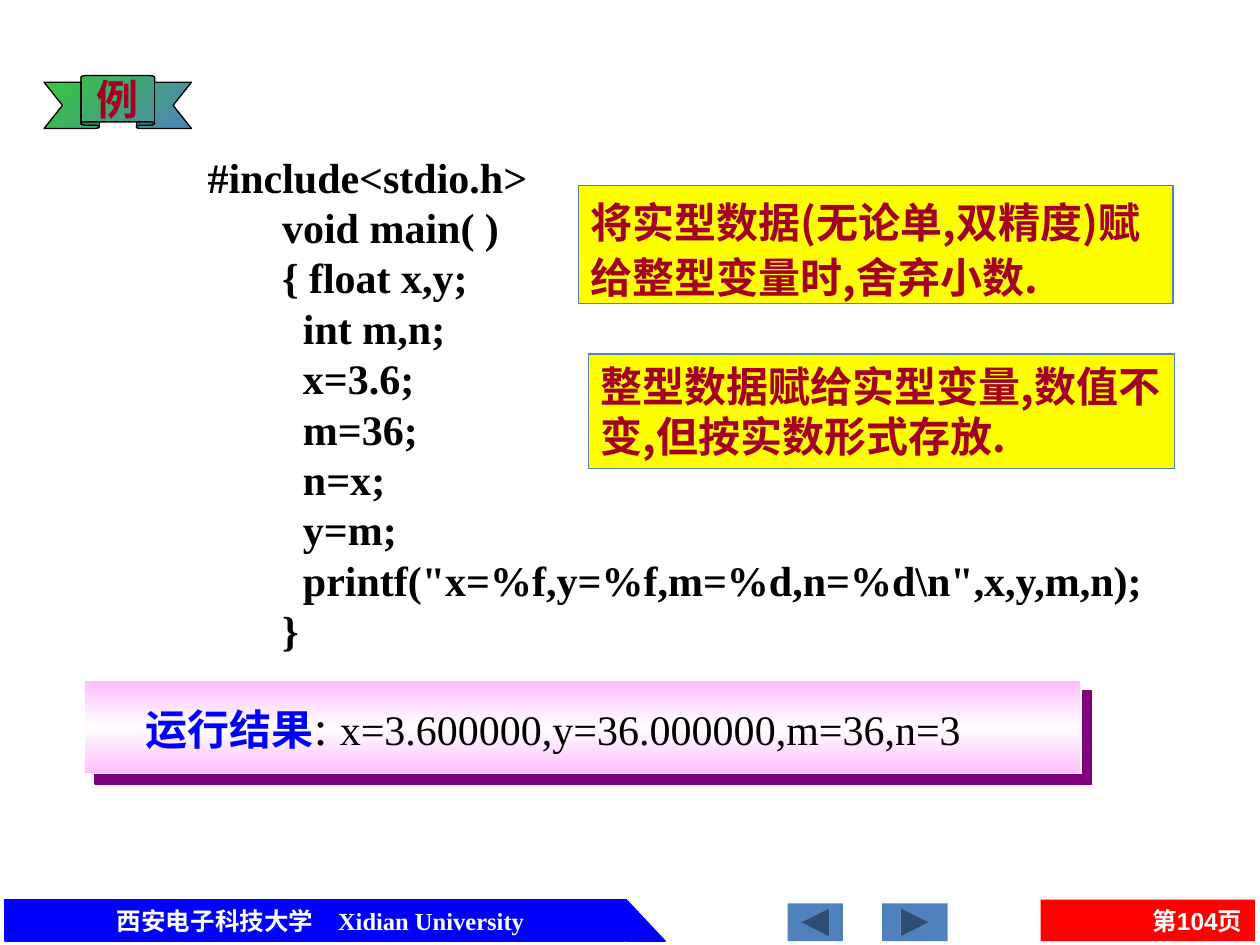
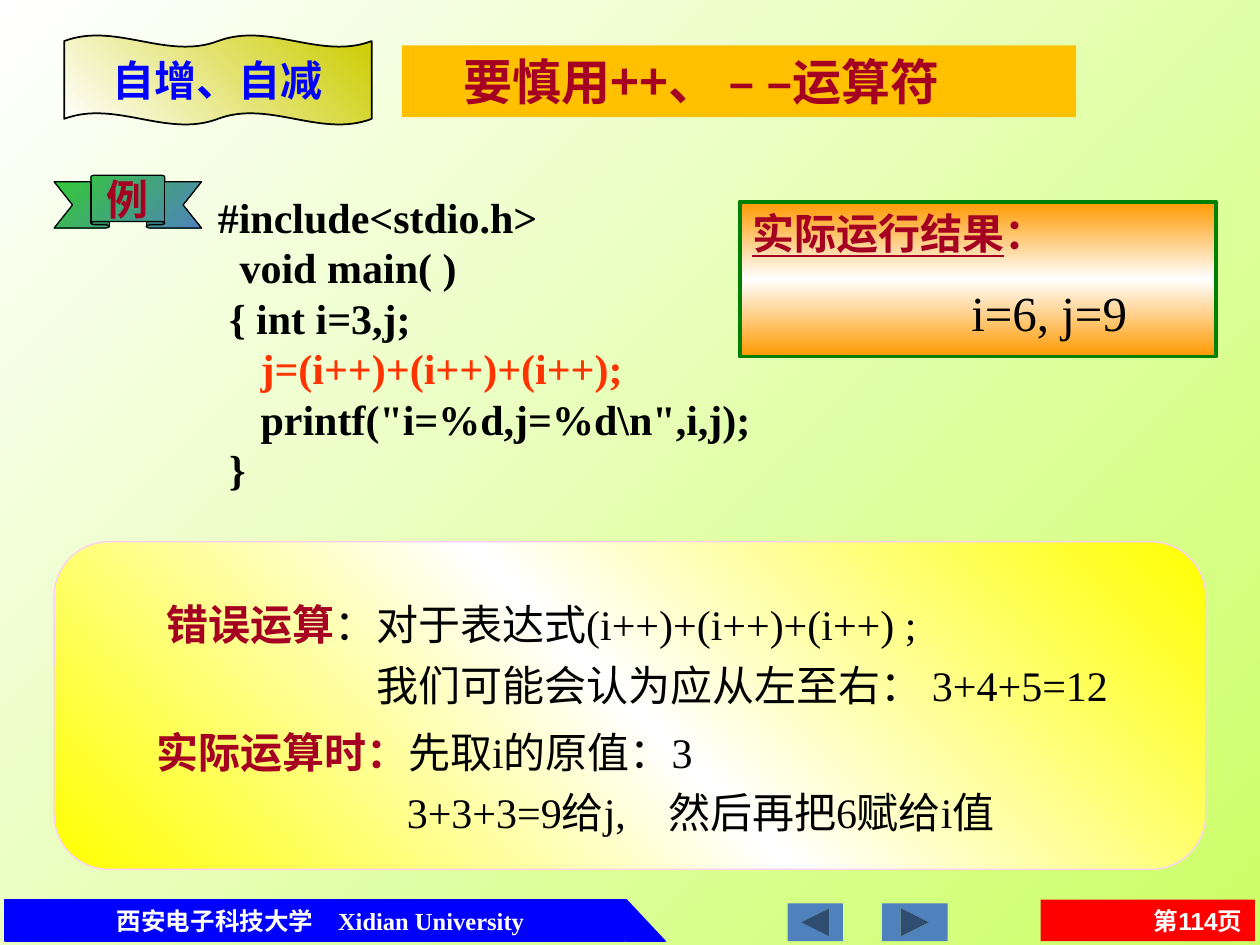
import copy
from dataclasses import dataclass
from typing import Optional, Sequence

import pptx
import pptx.dml.color
import pptx.enum.shapes
import pptx.enum.text
import pptx.oxml
import pptx.oxml.ns
import pptx.util

Inches = pptx.util.Inches
Pt = pptx.util.Pt
RGBColor = pptx.dml.color.RGBColor
Shapes = pptx.enum.shapes.MSO_SHAPE
Align = pptx.enum.text.PP_ALIGN
Anchor = pptx.enum.text.MSO_ANCHOR
qn = pptx.oxml.ns.qn

# Colours
BLACK = RGBColor(0x00, 0x00, 0x00)
WHITE = RGBColor(0xFF, 0xFF, 0xFF)
BLUE = RGBColor(0x00, 0x00, 0xFF)
RED = RGBColor(0xFF, 0x00, 0x00)
STEEL = RGBColor(0x4F, 0x81, 0xBD)
CRIMSON = RGBColor(0xA5, 0x00, 0x21)
YELLOW = RGBColor(0xFF, 0xFF, 0x00)
AMBER = RGBColor(0xFF, 0xC0, 0x00)
ORANGE = RGBColor(0xFF, 0x99, 0x00)
VERMILION = RGBColor(0xFF, 0x33, 0x00)
PINK = RGBColor(0xFF, 0xBD, 0xFF)
PALE_PINK = RGBColor(0xFF, 0xCC, 0xFF)
GREEN = RGBColor(0x33, 0xCC, 0x33)
DARK_GREEN = RGBColor(0x00, 0x80, 0x00)
LIME = RGBColor(0xCC, 0xFF, 0x66)
OLIVE = RGBColor(0xCC, 0xCC, 0x00)

# Fonts
SERIF = "Times New Roman"
SANS = "Arial"
BADGE_FONT = "Roboto"
CHINESE = "Noto Sans CJK SC"

LINE_HEIGHT = 1.2
FIRST_CODE_INDENT = 0.41


@dataclass(frozen=True)
class Place:
    left: float
    top: float
    width: float
    height: float

    def lengths(self) -> list:
        return [Inches(v) for v in (self.left, self.top, self.width, self.height)]


@dataclass(frozen=True)
class Span:
    text: str
    color: RGBColor = BLACK
    bold: bool = False
    size: float = 24
    font: str = SERIF
    underline: bool = False


@dataclass(frozen=True)
class Para:
    spans: Sequence[Span]
    indent: float = 0
    spacing: float = 1
    before: float = 0
    align: Align = Align.LEFT


@dataclass(frozen=True)
class Gradient:
    colors: Sequence[RGBColor]
    angle: int  # clockwise degrees


@dataclass(frozen=True)
class Look:
    kind: Shapes = Shapes.RECTANGLE
    fill: object = None
    line: Optional[RGBColor] = None
    line_width: float = 0.75
    adjustments: Sequence[float] = ()


BADGE = Look(Shapes.UP_RIBBON, Gradient((GREEN, STEEL), 45), BLACK,
             adjustments=(0.125, 0.5))
NOTE = Look(fill=YELLOW, line=STEEL)


# Text
def format_span(run, span: Span) -> None:
    run.font.size = Pt(span.size)
    run.font.name = span.font
    run.font.bold = span.bold
    run.font.color.rgb = span.color
    if span.underline:
        run.font.underline = True
    east_asian = pptx.oxml.parse_xml(
        f'<a:ea {pptx.oxml.ns.nsdecls("a")} typeface="{CHINESE}"/>')
    run.font._element.find(qn("a:latin")).addnext(east_asian)


def write(box, paras: Sequence[Para], anchor=Anchor.TOP, wrap: bool = True) -> None:
    frame = box.text_frame
    frame.word_wrap = wrap
    frame.auto_size = pptx.enum.text.MSO_AUTO_SIZE.NONE
    frame.vertical_anchor = anchor
    for number, item in enumerate(paras):
        para = frame.add_paragraph() if number else frame.paragraphs[0]
        para.text = item.spans[0].text
        format_span(para.runs[0], item.spans[0])
        for span in item.spans[1:]:
            run = para.add_run()
            run.text = span.text
            format_span(run, span)
        para.alignment = item.align
        para.space_before = Pt(item.before)
        largest = max(span.size for span in item.spans)
        para.line_spacing = Pt(round(largest * LINE_HEIGHT * item.spacing, 1))
        properties = para._p.get_or_add_pPr()
        properties.set("marL", str(Inches(item.indent)))
        properties.set("indent", "0")


def add_text(page, place: Place, *paras: Para) -> None:
    write(page.shapes.add_textbox(*place.lengths()), paras)


def add_code(page, place: Place, lines: Sequence[str], indent: float,
             highlight: str = "") -> None:
    paras = []
    for number, line in enumerate(lines):
        color = VERMILION if line.strip() == highlight else BLACK
        paras.append(Para([Span(line, color, True)],
                          indent if number else FIRST_CODE_INDENT))
    add_text(page, place, *paras)


# Shapes
def paint_gradient(fill, gradient: Gradient, owner=None) -> None:
    fill.gradient()
    fill.gradient_angle = (360 - gradient.angle) % 360
    if owner is not None:
        stop_list = owner.find(".//" + qn("a:gsLst"))
        while len(stop_list) < len(gradient.colors):
            stop_list.append(copy.deepcopy(stop_list[0]))
    last = len(gradient.colors) - 1
    for number, (stop, color) in enumerate(zip(fill.gradient_stops, gradient.colors)):
        stop.position = number / last
        stop.color.rgb = color


def add_shape(page, place: Place, look: Look):
    shape = page.shapes.add_shape(look.kind, *place.lengths())
    shape.shadow.inherit = False
    for number, value in enumerate(look.adjustments):
        shape.adjustments[number] = value
    if isinstance(look.fill, Gradient):
        paint_gradient(shape.fill, look.fill, shape._element.spPr)
    else:
        shape.fill.solid()
        shape.fill.fore_color.rgb = look.fill
    if look.line is None:
        shape.line.fill.background()
    else:
        shape.line.color.rgb = look.line
        shape.line.width = Pt(look.line_width)
    return shape


def add_hard_shadow(shape, color: RGBColor, distance: float) -> None:
    effects = shape._element.spPr.find(qn("a:effectLst"))
    effects.append(pptx.oxml.parse_xml(
        f'<a:outerShdw {pptx.oxml.ns.nsdecls("a")} dist="{Pt(distance)}" dir="2700000" '
        f'algn="ctr" rotWithShape="0"><a:srgbClr val="{color}"/></a:outerShdw>'))


def add_badge(page, left: float, top: float) -> None:
    badge = add_shape(page, Place(left, top, 1.17, 0.42), BADGE)
    label = Span("例", CRIMSON, True, font=BADGE_FONT)
    write(badge, [Para([label], align=Align.CENTER)], Anchor.MIDDLE, wrap=False)


# Footer shared by every slide
def add_footer(page, page_number: int) -> None:
    band = Look(fill=BLUE, line=BLUE)
    add_shape(page, Place(0.04, 7.14, 4.92, 0.33), band)
    add_shape(page, Place(4.97, 7.14, 0.31, 0.33),
              Look(Shapes.RIGHT_TRIANGLE, BLUE, BLUE))
    school = Span("西安电子科技大学　Xidian University", WHITE, True, 14)
    add_text(page, Place(0.33, 7.14, 4.43, 0.33), Para([school], align=Align.CENTER))

    number_box = add_shape(page, Place(8.26, 7.14, 1.7, 0.33), Look(fill=RED))
    number = Span(f"第{page_number}页", WHITE, True, 14, SANS)
    write(number_box, [Para([number], align=Align.RIGHT)], Anchor.MIDDLE)

    button = Look(Shapes.ACTION_BUTTON_FORWARD_OR_NEXT, STEEL)
    add_shape(page, Place(7, 7.17, 0.52, 0.3), button)
    add_shape(page, Place(6.25, 7.17, 0.44, 0.3), button).rotation = 180


def build_assignment_page(deck) -> None:
    page = deck.slides.add_slide(deck.slide_layouts[6])
    add_footer(page, 104)

    # Program and its output
    result = add_shape(page, Place(0.67, 5.4, 7.91, 0.74),
                       Look(fill=Gradient((PINK, WHITE, PINK), 90), line=WHITE))
    add_hard_shadow(result, RGBColor(0x80, 0x00, 0x80), 8.5)
    add_code(page, Place(1.14, 1.15, 8.17, 4.14), [
        "#include<stdio.h>",
        "void main( )",
        "{ float x,y;",
        "  int m,n;",
        "  x=3.6;",
        "  m=36;",
        "  n=x;",
        "  y=m;",
        '  printf("x=%f,y=%f,m=%d,n=%d\\n",x,y,m,n);',
        "}",
    ], indent=1)
    add_text(page, Place(1.06, 5.48, 7.25, 0.57), Para([
        Span("运行结果", BLUE, True),
        Span(": ", size=28),
        Span("x=3.600000,y=36.000000,m=36,n=3"),
    ]))
    add_badge(page, 0.35, 0.6)

    # Conversion rules
    notes = [
        (Place(4.67, 2.81, 4.65, 0.91), "整型数据赋给实型变量,数值不变,但按实数形式存放.", 1),
        (Place(4.59, 1.47, 4.72, 0.94), "将实型数据(无论单,双精度)赋给整型变量时,舍弃小数.", 1.1),
    ]
    for place, text, spacing in notes:
        rule = Span(text, CRIMSON, True, font=CHINESE)
        write(add_shape(page, place, NOTE), [Para([rule], spacing=spacing)])


def build_increment_page(deck) -> None:
    page = deck.slides.add_slide(deck.slide_layouts[5])
    paint_gradient(page.background.fill, Gradient((WHITE, LIME), 45))
    add_footer(page, 114)

    # Title and topic banner
    title = page.shapes.title
    title.left, title.top, title.width, title.height = Place(3.19, 0.36, 5.35, 0.57).lengths()
    title.fill.solid()
    title.fill.fore_color.rgb = AMBER
    title_parts = [("要慎用++、 ", CHINESE), ("– –", SERIF), ("运算符", CHINESE)]
    write(title, [Para([Span(text, CRIMSON, True, 28, font)
                        for text, font in title_parts], indent=0.39)])
    topic = add_shape(page, Place(0.51, 0.28, 2.44, 0.71),
                      Look(Shapes.DOUBLE_WAVE, Gradient((WHITE, OLIVE), 315), BLACK, 1,
                           (0.065, 0)))
    write(topic, [Para([Span("自增、自减", BLUE, True, font=CHINESE)], align=Align.CENTER)],
          Anchor.MIDDLE, wrap=False)

    # Program and its output
    add_code(page, Place(1.22, 1.47, 4.88, 2.52), [
        "#include<stdio.h>",
        " void main( )",
        "{ int i=3,j;",
        "   j=(i++)+(i++)+(i++);",
        '   printf("i=%d,j=%d\\n",i,j);',
        "}",
    ], indent=0.5, highlight="j=(i++)+(i++)+(i++);")
    result = add_shape(page, Place(5.87, 1.6, 3.78, 1.23),
                       Look(fill=Gradient((ORANGE, WHITE, ORANGE), 90),
                            line=DARK_GREEN, line_width=2.25))
    write(result, [
        Para([Span("实际运行结果", CRIMSON, True, underline=True), Span("：", CRIMSON, True)]),
        Para([Span("i=6, j=9", size=28)], indent=1.74, before=14),
    ])
    add_badge(page, 0.43, 1.39)

    # Explanation
    add_shape(page, Place(0.43, 4.3, 9.14, 2.6),
              Look(Shapes.ROUNDED_RECTANGLE, Gradient((YELLOW, WHITE, YELLOW), 315),
                   PALE_PINK, adjustments=(0.167,)))
    add_text(page, Place(1.22, 4.62, 7.88, 1.06),
             Para([Span("错误运算", CRIMSON, True),
                   Span("：对于表达式(i++)+(i++)+(i++) ;")], spacing=1.2),
             Para([Span("我们可能会认为应从左至右： 3+4+5=12")], indent=1.67, spacing=1.2))
    add_text(page, Place(1.14, 5.72, 7.35, 0.5),
             Para([Span("实际运算时：", CRIMSON, True), Span("先取i的原值：3")]))
    add_text(page, Place(2.72, 6.19, 6.21, 0.5),
             Para([Span("3+3+3=9给j,　然后再把6赋给i值")], indent=FIRST_CODE_INDENT))


def main() -> None:
    deck = pptx.Presentation()
    deck.slide_width, deck.slide_height = Inches(10), Inches(7.5)
    build_assignment_page(deck)
    build_increment_page(deck)
    deck.save("out.pptx")


if __name__ == "__main__":
    main()
